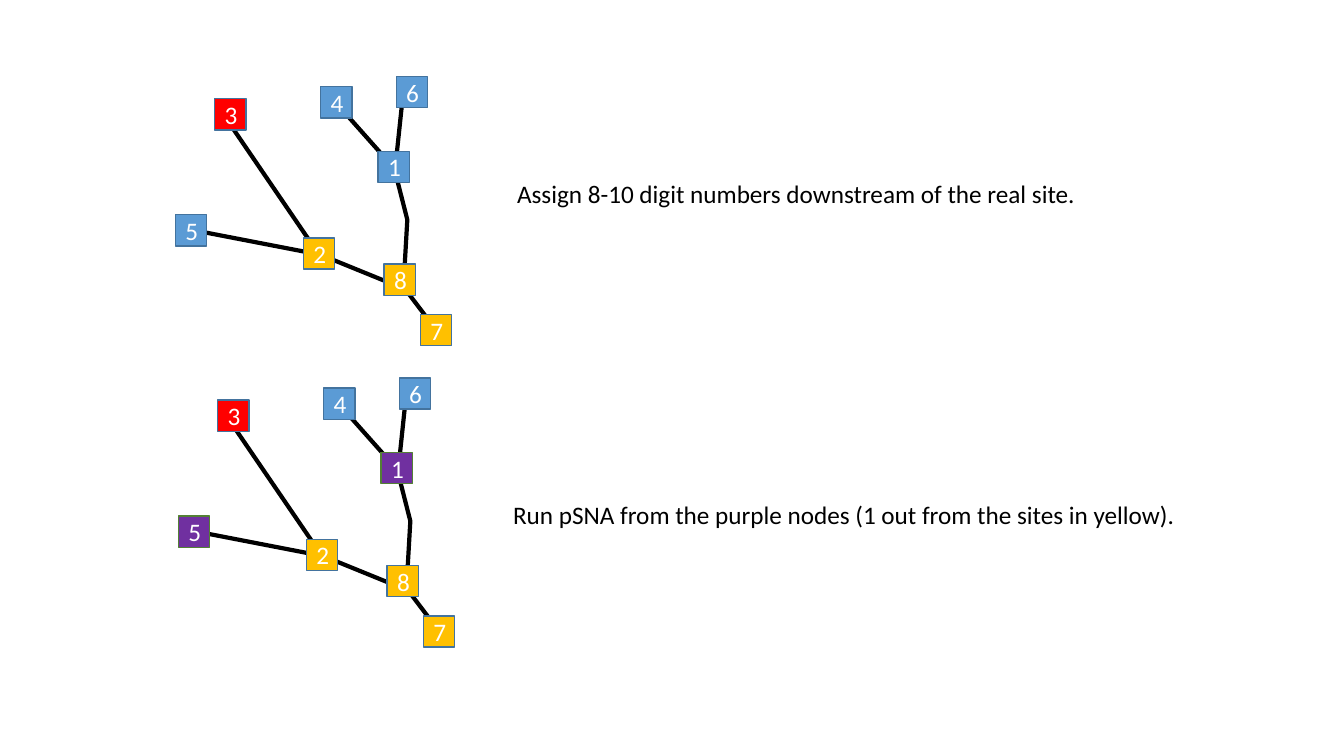
"""Build a slide with two numbered site networks and their captions."""
from lxml import etree
from pptx import Presentation
from pptx.dml.color import RGBColor
from pptx.enum.shapes import MSO_CONNECTOR, MSO_SHAPE
from pptx.enum.text import MSO_ANCHOR, MSO_AUTO_SIZE, PP_ALIGN
from pptx.oxml.ns import qn
from pptx.util import Pt

RECTANGLE = MSO_SHAPE.RECTANGLE
STRAIGHT = MSO_CONNECTOR.STRAIGHT
MIDDLE = MSO_ANCHOR.MIDDLE
CENTER = PP_ALIGN.CENTER
FIT_SHAPE = MSO_AUTO_SIZE.SHAPE_TO_FIT_TEXT

EMU_PER_PX = 9144
PAGE_SIZE = (1333, 750)
NODE_SIDE = 31

THEME = {
    "font": "Calibri",
    "text_size": 18,
    "branch_width": 3,
    "border_width": 1,
    "text": "000000",
    "branch": "000000",
    "label": "FFFFFF",
    "real": ("FF0000", "43739E"),
    "yellow": ("FFC000", "43739E"),
    "blue": ("5B9BD5", "43739E"),
    "purple": ("7030A0", "538035"),
}

BRANCHES = [
    [(228, 123), (316, 252), (402, 287), (424, 316)],
    [(190, 228), (314, 252)],
    [(335, 104), (391, 167), (404, 218), (400, 287)],
    [(392, 167), (400, 91)],
]

NODES = {
    "3": (213, 98),
    "5": (174, 213),
    "2": (301, 236),
    "1": (375, 150),
    "4": (318, 86),
    "6": (393, 76),
    "8": (381, 262),
    "7": (417, 312),
}

SITE_KINDS = {
    "3": "real", "5": "blue", "2": "yellow", "1": "blue",
    "4": "blue", "6": "blue", "8": "yellow", "7": "yellow",
}

STEPS = [
    {
        "offset": (0, 0),
        "kinds": SITE_KINDS,
        "caption": "Assign 8-10 digit numbers downstream of the real site.",
        "caption_box": (503, 172, 580, 40),
    },
    {
        "offset": (3, 299),
        "kinds": {**SITE_KINDS, "1": "purple", "5": "purple"},
        "caption": "Run pSNA from the purple nodes (1 out from the sites in yellow).",
        "caption_box": (499, 490, 685, 40),
    },
]


def px(*lengths):
    """Turn pixel lengths into a list of EMU."""
    return [length * EMU_PER_PX for length in lengths]


def set_format(target, values):
    """Set each named attribute of the target."""
    for name, value in values.items():
        setattr(target, name, value)


def set_line(line, color, width):
    """Give a line a solid colour and a width in points."""
    line.color.rgb = RGBColor.from_string(color)
    line.width = Pt(width)


def write_text(frame, text, color, frame_format, para_format):
    """Write one paragraph in the theme's font."""
    set_format(frame, frame_format)
    para = frame.paragraphs[0]
    set_format(para, para_format)
    span = para.add_run()
    span.text = text
    set_format(span.font, {"name": THEME["font"], "size": Pt(THEME["text_size"])})
    span.font.color.rgb = RGBColor.from_string(color)


def add_branch(shapes, points):
    """Draw a straight or bent branch through the points."""
    if len(points) == 2:
        branch = shapes.add_connector(STRAIGHT, *px(*points[0], *points[1]))
        etree.SubElement(branch._element.spPr, qn("a:effectLst"))
    else:
        builder = shapes.build_freeform(*points[0], scale=EMU_PER_PX)
        builder.add_line_segments(points[1:], close=False)
        branch = builder.convert_to_shape()
        branch.fill.background()
        branch.shadow.inherit = False
    set_line(branch.line, THEME["branch"], THEME["branch_width"])


def add_node(shapes, number, corner, kind):
    """Draw a numbered square in the colours of its kind."""
    fill, border = THEME[kind]
    box = shapes.add_shape(RECTANGLE, *px(*corner, NODE_SIDE, NODE_SIDE))
    box.shadow.inherit = False
    box.fill.solid()
    box.fill.fore_color.rgb = RGBColor.from_string(fill)
    set_line(box.line, border, THEME["border_width"])
    write_text(box.text_frame, number, THEME["label"],
               {"vertical_anchor": MIDDLE}, {"alignment": CENTER})


def add_network(page, offset, kinds):
    """Draw one grouped network, moved by the offset."""
    def move(point):
        """Shift a point by the network's offset."""
        return point[0] + offset[0], point[1] + offset[1]

    shapes = page.shapes.add_group_shape().shapes
    for points in BRANCHES:
        add_branch(shapes, [move(point) for point in points])
    for number, corner in NODES.items():
        add_node(shapes, number, move(corner), kinds[number])


def add_caption(page, text, place):
    """Place a one-line caption beside a network."""
    box = page.shapes.add_textbox(*px(*place))
    write_text(box.text_frame, text, THEME["text"],
               {"word_wrap": False, "auto_size": FIT_SHAPE}, {})


def main():
    """Build and save the deck."""
    deck = Presentation()
    deck.slide_width, deck.slide_height = px(*PAGE_SIZE)
    page = deck.slides.add_slide(deck.slide_layouts[6])
    for step in STEPS:
        add_network(page, step["offset"], step["kinds"])
        add_caption(page, step["caption"], step["caption_box"])
    deck.save("out.pptx")


if __name__ == "__main__":
    main()
